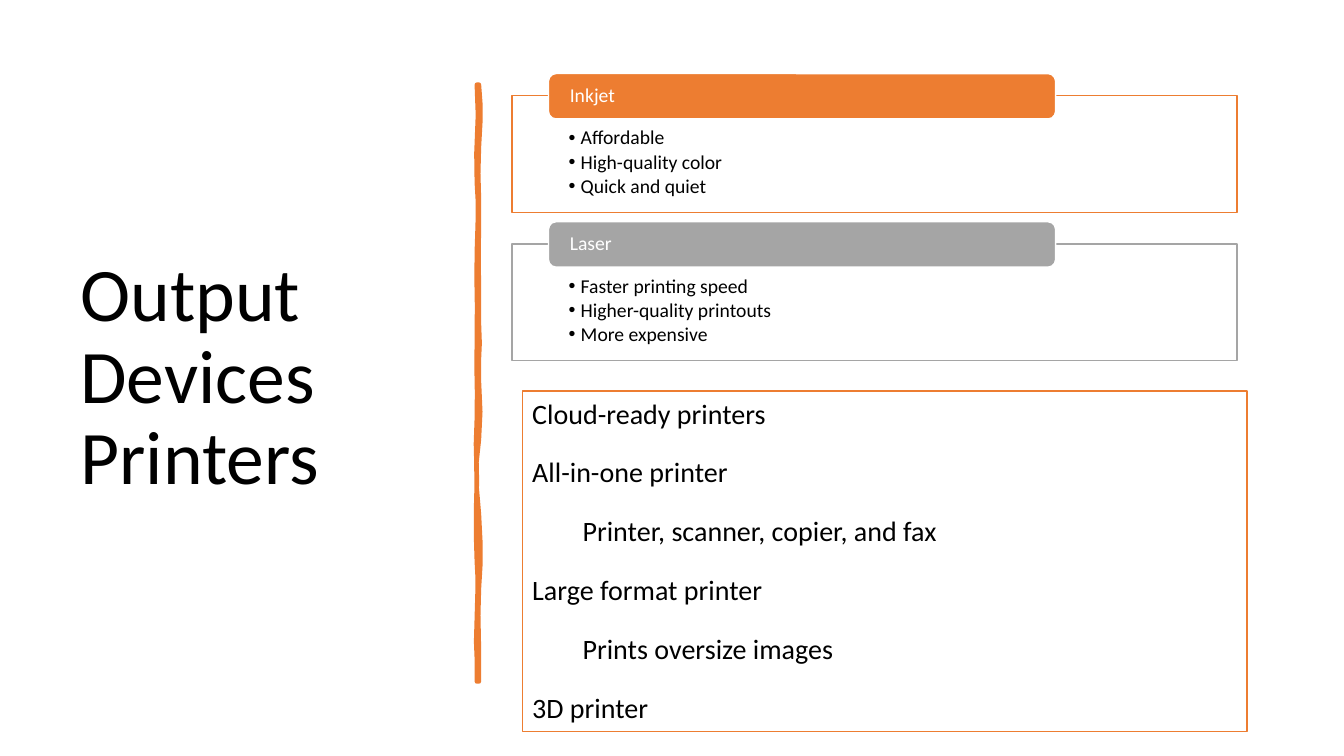
import dataclasses
import typing

import pptx
import pptx.dml.color
import pptx.enum.shapes
import pptx.enum.text
import pptx.oxml
import pptx.oxml.ns
import pptx.util

Inches = pptx.util.Inches
Pt = pptx.util.Pt
Kind = pptx.enum.shapes.MSO_SHAPE
Anchor = pptx.enum.text.MSO_ANCHOR
Align = pptx.enum.text.PP_ALIGN
Fit = pptx.enum.text.MSO_AUTO_SIZE
Curve = tuple[float, float, float, float, float, float]


@dataclasses.dataclass(frozen=True)
class Theme:
    font: str = "Calibri"
    mark: str = "Arial"
    black: str = "000000"
    white: str = "FFFFFF"
    orange: str = "ED7D31"
    gray: str = "A5A5A5"
    title: float = 54
    body: float = 20
    small: float = 14
    edge: float = 1
    brush: float = 3.25


@dataclasses.dataclass(frozen=True)
class Box:
    left: float
    top: float
    width: float
    height: float

    def place(self) -> list[int]:
        return [Inches(side) for side in dataclasses.astuple(self)]


@dataclasses.dataclass(frozen=True)
class Line:
    text: str
    level: int = 0
    indent: float = 0
    hang: float = 0
    bullet: str = ""


@dataclasses.dataclass(frozen=True)
class Card:
    head: str
    color: str
    points: tuple[str, ...]


THEME = Theme()
CARDS = (
    Card("Inkjet", THEME.orange, ("Affordable", "High-quality color", "Quick and quiet")),
    Card("Laser", THEME.gray,
         ("Faster printing speed", "Higher-quality printouts", "More expensive")),
)
CARD_TOP, CARD_STEP = 0.95, 1.47
MORE = (
    Line("Cloud-ready printers"),
    Line("All-in-one printer"),
    Line("Printer, scanner, copier, and fax", 1, 0.5),
    Line("Large format printer"),
    Line("Prints oversize images", 1, 0.5),
    Line("3D printer"),
)
GRAIN = 1000
START = (4.75, 0.84)
CURVES: tuple[Curve, ...] = (
    (4.77, 1.02, 4.77, 1.19, 4.75, 1.46),
    (4.73, 1.73, 4.76, 1.95, 4.75, 2.26),
    (4.74, 2.57, 4.75, 2.62, 4.75, 2.94),
    (4.74, 3.25, 4.77, 3.42, 4.75, 3.56),
    (4.73, 3.7, 4.79, 4.14, 4.75, 4.36),
    (4.71, 4.57, 4.72, 4.84, 4.75, 5.1),
    (4.77, 5.36, 4.77, 5.64, 4.75, 5.84),
    (4.73, 6.03, 4.76, 6.5, 4.75, 6.76),
    (4.74, 6.76, 4.73, 6.76, 4.73, 6.76),
    (4.74, 6.46, 4.71, 6.44, 4.73, 6.13),
    (4.74, 5.83, 4.74, 5.7, 4.73, 5.57),
    (4.72, 5.44, 4.72, 4.95, 4.73, 4.77),
    (4.73, 4.59, 4.71, 4.45, 4.73, 4.15),
    (4.74, 3.86, 4.72, 3.73, 4.73, 3.35),
    (4.74, 2.98, 4.72, 2.81, 4.73, 2.5),
    (4.74, 2.18, 4.75, 2, 4.73, 1.81),
    (4.7, 1.63, 4.77, 1.04, 4.73, 0.84),
)


def apply(target: typing.Any, values: dict[str, typing.Any]) -> None:
    for name, value in values.items():
        setattr(target, name, value)


def paint(shape: typing.Any, fill: str, edge: str, width: float, alpha: int = 100) -> None:
    shape.shadow.inherit = False
    shape.fill.solid()
    shape.fill.fore_color.rgb = pptx.dml.color.RGBColor.from_string(fill)
    shape.line.color.rgb = pptx.dml.color.RGBColor.from_string(edge)
    shape.line.width = Pt(width)
    if alpha < 100:
        tint = shape._element.spPr.find(".//" + pptx.oxml.ns.qn("a:srgbClr"))
        tint.append(pptx.oxml.parse_xml(
            f'<a:alpha {pptx.oxml.ns.nsdecls("a")} val="{alpha * 1000}"/>'))


def write(shape: typing.Any, lines: typing.Sequence[Line], size: float, color: str,
          frame: dict[str, typing.Any], space: dict[str, typing.Any]) -> None:
    body = shape.text_frame
    apply(body, {"word_wrap": True} | frame)
    for index, line in enumerate(lines):
        para = body.paragraphs[0] if index == 0 else body.add_paragraph()
        para.text = line.text
        props = para._p.get_or_add_pPr()
        if line.indent:
            props.set("marL", str(Inches(line.indent)))
            props.set("indent", str(Inches(line.hang)))
        if line.bullet:
            for tag in (f'buFont {{}} typeface="{THEME.mark}"',
                        f'buChar {{}} char="{line.bullet}"'):
                props.append(pptx.oxml.parse_xml(
                    f'<a:{tag.format(pptx.oxml.ns.nsdecls("a"))}/>'))
        apply(para, {"alignment": Align.LEFT, "level": line.level} | space)
        for run in para.runs:
            apply(run.font, {"name": THEME.font, "size": Pt(size)})
            run.font.color.rgb = pptx.dml.color.RGBColor.from_string(color)


def draw_brush(slide: typing.Any, steps: int = 3) -> None:
    dots, (x, y) = [], START
    for ax, ay, bx, by, cx, cy in CURVES:
        for step in range(1, steps + 1):
            t = step / steps
            u = 1 - t
            dots.append(tuple(
                GRAIN * (u**3 * p + 3 * u * u * t * a + 3 * u * t * t * b + t**3 * c)
                for p, a, b, c in ((x, ax, bx, cx), (y, ay, by, cy))))
        x, y = cx, cy
    left, top = START
    pen = slide.shapes.build_freeform(left * GRAIN, top * GRAIN, scale=Inches(1) / GRAIN)
    pen.add_line_segments(dots, close=True)
    paint(pen.convert_to_shape(), THEME.orange, THEME.orange, THEME.brush)


def draw_card(slide: typing.Any, card: Card, top: float) -> None:
    panel = slide.shapes.add_shape(Kind.RECTANGLE, *Box(5.08, top, 7.19, 1.16).place())
    paint(panel, THEME.white, card.color, THEME.edge, 90)
    lines = [Line(text, 1, 0.12, -0.12, "•") for text in card.points]
    write(panel, lines, THEME.small, THEME.black,
          {"vertical_anchor": Anchor.TOP, "margin_left": Inches(0.56),
           "margin_right": Inches(0.56), "margin_top": Inches(0.32),
           "margin_bottom": Inches(0.11)},
          {"line_spacing": 0.9, "space_after": Pt(2.1)})
    label = slide.shapes.add_shape(
        Kind.ROUNDED_RECTANGLE, *Box(5.44, top - 0.22, 5.03, 0.45).place())
    paint(label, card.color, THEME.white, THEME.edge)
    write(label, [Line(card.head)], THEME.small, THEME.white,
          {"vertical_anchor": Anchor.MIDDLE, "margin_left": Inches(0.19),
           "margin_right": Inches(0.19), "margin_top": 0, "margin_bottom": 0},
          {"line_spacing": 0.9})


def main() -> None:
    deck = pptx.Presentation()
    apply(deck, {"slide_width": Inches(13.33), "slide_height": Inches(7.5)})
    slide = deck.slides.add_slide(deck.slide_layouts[6])
    title = slide.shapes.add_textbox(*Box(0.7, 0.7, 3.74, 6.11).place())
    write(title, [Line("Output Devices\vPrinters")], THEME.title, THEME.black,
          {"vertical_anchor": Anchor.MIDDLE}, {"line_spacing": 0.9})
    draw_brush(slide)
    for index, card in enumerate(CARDS):
        draw_card(slide, card, CARD_TOP + index * CARD_STEP)
    panel = slide.shapes.add_shape(Kind.RECTANGLE, *Box(5.18, 3.88, 7.19, 3.38).place())
    paint(panel, THEME.white, THEME.orange, THEME.edge)
    write(panel, MORE, THEME.body, THEME.black,
          {"vertical_anchor": Anchor.TOP, "auto_size": Fit.SHAPE_TO_FIT_TEXT},
          {"space_after": Pt(18)})
    deck.save("out.pptx")


if __name__ == "__main__":
    main()
